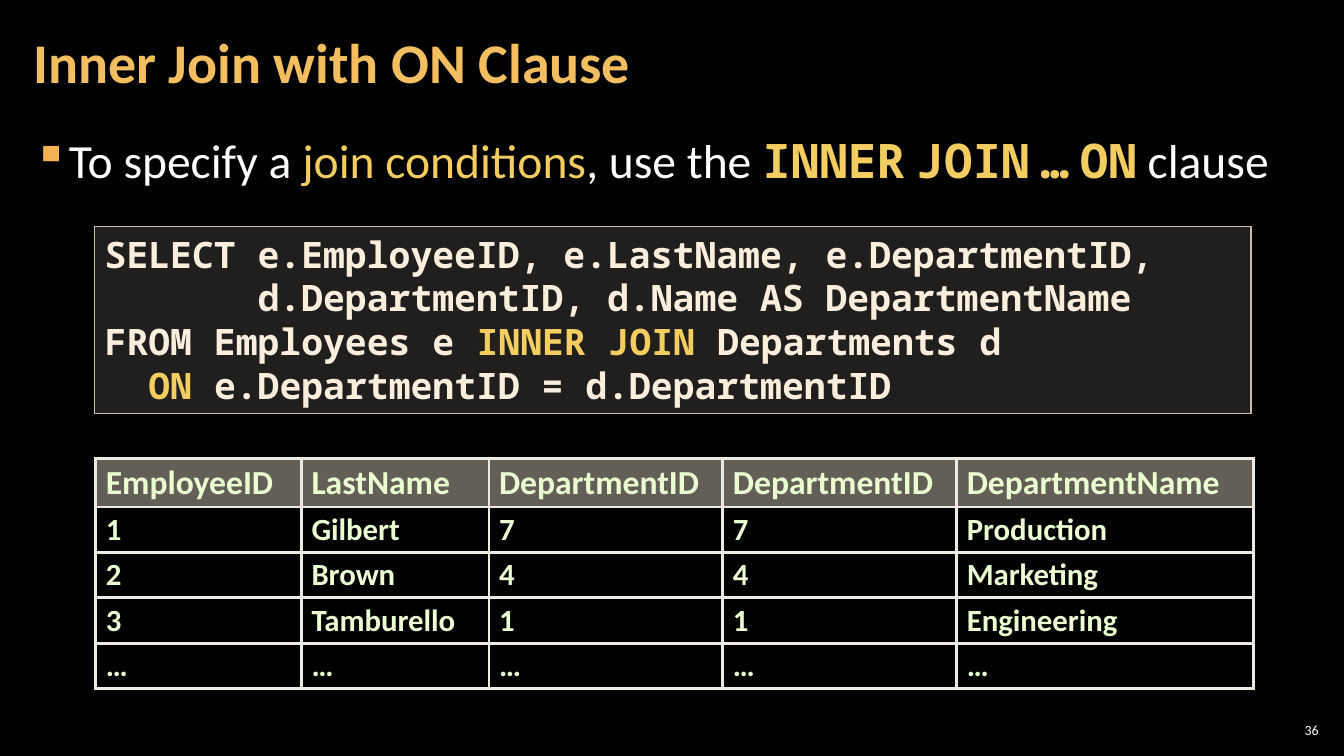
from lxml.etree import SubElement
from pptx import Presentation
from pptx.dml.color import RGBColor
from pptx.enum.shapes import MSO_SHAPE
from pptx.enum.text import MSO_ANCHOR as ANCHOR, PP_ALIGN as ALIGN
from pptx.oxml import parse_xml
from pptx.oxml.ns import nsdecls, qn
from pptx.util import Inches, Pt

SANS, MONO = "Calibri", "Noto Sans Mono"
WHITE, GOLD, CREAM, MINT = "FFFFFF", "F3CD60", "FBEEDC", "EBFFD2"


def paint(fill, color, percent=100):
    fill.solid()
    fill.fore_color.rgb = RGBColor.from_string(color)
    if percent < 100:
        color_element = fill._xPr.find(qn("a:solidFill"))[0]
        SubElement(color_element, qn("a:alpha"), val=str(percent * 1000))


def write(paragraph, text, size, color, font=SANS, bold=False):
    run = paragraph.add_run()
    run.text = text
    run.font.size, run.font.name, run.font.bold = Pt(size), font, bold
    paint(run.font.fill, color)


presentation = Presentation()
presentation.slide_width, presentation.slide_height = Inches(13.33), Inches(7.5)
slide = presentation.slides.add_slide(presentation.slide_layouts[6])
paint(slide.background.fill, "000000")

frames = []
for left, top, width, height, side, anchor in [
    (0.21, 0.04, 10.47, 1.21, 0.12, ANCHOR.MIDDLE),
    (0.21, 1.26, 12.91, 6.09, 0.12, ANCHOR.TOP),
    (12.65, 7.14, 0.47, 0.21, 0.04, ANCHOR.MIDDLE),
]:
    box = slide.shapes.add_textbox(Inches(left), Inches(top), Inches(width), Inches(height))
    frame = box.text_frame
    frame.word_wrap = True
    frame.vertical_anchor = anchor
    frame.margin_left = frame.margin_right = Inches(side)
    frame.margin_top = frame.margin_bottom = Inches(0.04)
    frames.append(frame)
title, body, number = [frame.paragraphs[0] for frame in frames]

title.line_spacing = 0.9
write(title, "Inner Join with ON Clause", 40, "F3BE60", bold=True)
number.alignment = ALIGN.RIGHT
write(number, "36", 10, WHITE)

body.space_after = Pt(6)
properties = body._p.get_or_add_pPr()
properties.set("marL", str(Inches(0.33)))
properties.set("indent", str(-Inches(0.33)))
bullet_color = SubElement(properties, qn("a:buClr"))
SubElement(bullet_color, qn("a:srgbClr"), val="F2B254")
SubElement(properties, qn("a:buChar"), char="▪")
write(body, "To specify a ", 34, WHITE)
write(body, "join conditions", 34, GOLD)
write(body, ", use the ", 34, WHITE)
for keyword in ["INNER", "JOIN", "…", "ON"]:
    write(body, keyword, 34, GOLD, MONO, True)
    write(body, " ", 34, GOLD, SANS, True)
write(body, "clause", 34, WHITE)

code = slide.shapes.add_shape(
    MSO_SHAPE.RECTANGLE, Inches(0.94), Inches(2.25), Inches(11.47), Inches(1.85))
code.shadow.inherit = False
paint(code.fill, "D9D5C7", 15)
paint(code.line.fill, "C7BFAC")
code.line.width = Pt(1)
code.text_frame.word_wrap = True
code.text_frame.vertical_anchor = ANCHOR.TOP
code_size = 26
character_width = Pt(code_size * 0.6)
code_lines = [
    (0, [("SELECT e.EmployeeID, e.LastName, e.DepartmentID,", CREAM)]),
    (7, [("d.DepartmentID, d.Name AS DepartmentName", CREAM)]),
    (0, [("FROM Employees e ", CREAM), ("INNER JOIN", GOLD), (" Departments d", CREAM)]),
    (2, [("ON ", GOLD), ("e.DepartmentID = d.DepartmentID", CREAM)]),
]
for index, (columns, parts) in enumerate(code_lines):
    paragraph = code.text_frame.add_paragraph() if index else code.text_frame.paragraphs[0]
    paragraph.alignment = ALIGN.LEFT
    paragraph._p.get_or_add_pPr().set("marL", str(columns * character_width))
    for text, color in parts:
        write(paragraph, text, code_size, color, MONO, True)

rows = [
    ["EmployeeID", "LastName", "DepartmentID", "DepartmentID", "DepartmentName"],
    ["1", "Gilbert", "7", "7", "Production"],
    ["2", "Brown", "4", "4", "Marketing"],
    ["3", "Tamburello", "1", "1", "Engineering"],
    ["…"] * 5,
]
table = slide.shapes.add_table(
    len(rows), len(rows[0]), Inches(0.95), Inches(4.55), Inches(11.47), Inches(2.27)).table
table.first_row = table.horz_banding = False
for column, width in zip(table.columns, [2.04, 1.86, 2.32, 2.32, 2.94]):
    column.width = Inches(width)
for row_index, row in enumerate(rows):
    header = row_index == 0
    table.rows[row_index].height = Inches(0.47 if header else 0.45)
    for column_index, text in enumerate(row):
        cell = table.cell(row_index, column_index)
        cell.vertical_anchor = ANCHOR.MIDDLE if header else ANCHOR.TOP
        paragraph = cell.text_frame.paragraphs[0]
        paragraph.line_spacing = 0.95
        write(paragraph, text, 24 if header else 22, MINT, bold=True)
        if header:
            paint(cell.fill, "C7BFAC", 50)
        else:
            cell.fill.background()
        for position, side in enumerate(["lnL", "lnR", "lnT", "lnB"]):
            border = parse_xml(
                f'<a:{side} {nsdecls("a")} w="{Pt(2.25)}"><a:solidFill>'
                f'<a:srgbClr val="ECEAE3"/></a:solidFill></a:{side}>')
            cell._tc.get_or_add_tcPr().insert(position, border)

presentation.save("out.pptx")
